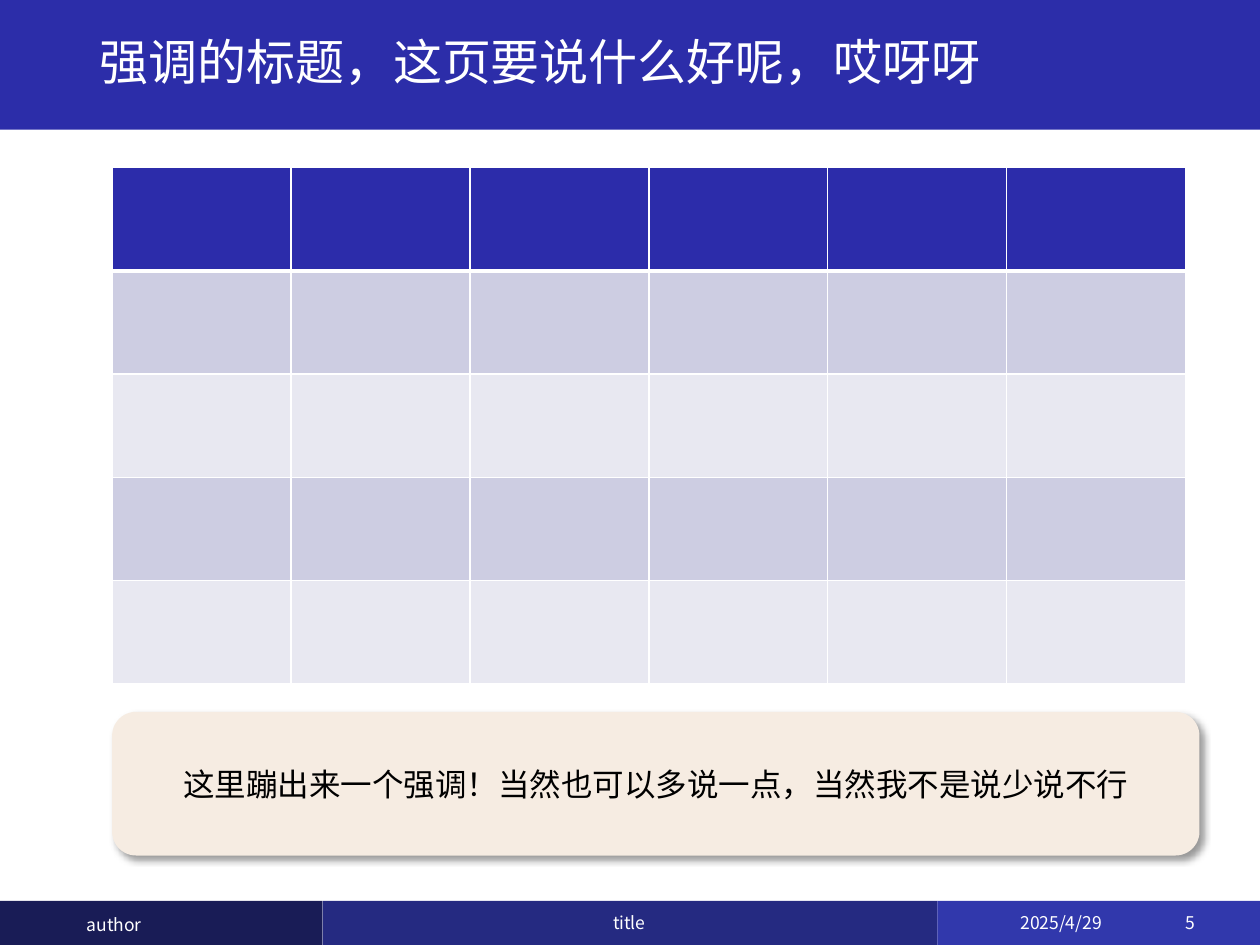
from pptx import Presentation
from pptx.dml.color import RGBColor as Rgb
from pptx.enum.shapes import MSO_SHAPE as Kind
from pptx.enum.text import MSO_ANCHOR as Anchor, PP_ALIGN as Align
from pptx.oxml import parse_xml
from pptx.oxml.ns import nsdecls, qn
from pptx.util import Inches, Pt

HUES = {
    "white": "FFFFFF", "black": "000000", "band": "2C2DA9",
    "dark": "191C56", "mid": "252A81", "light": "3138AC",
    "head": "2C2CAA", "odd": "CDCDE2", "even": "E8E8F1", "note": "F6ECE2",
}


def hue(name):
    return Rgb.from_string(HUES[name])


def node(xml):
    return parse_xml(xml.replace(">", f" {nsdecls('a')}>", 1))


class Deck:
    """Holds the style and the current slide."""
    body = "Noto Sans CJK SC"
    foot = "Noto Sans CJK JP"

    def __init__(self):
        self.file = Presentation()
        self.file.slide_width, self.file.slide_height = Inches(10), Inches(7.5)
        self.slide = self.file.slides.add_slide(self.file.slide_layouts[5])

    def text(self, shape, words, size, color, face, align=Align.LEFT):
        frame = shape.text_frame
        for key, val in {"word_wrap": True, "vertical_anchor": Anchor.MIDDLE}.items():
            setattr(frame, key, val)
        para = frame.paragraphs[0]
        para.alignment = align
        run = para.add_run()
        run.text = words
        for key, val in {"size": Pt(size), "name": face, "bold": False}.items():
            setattr(run.font, key, val)
        run.font.color.rgb = hue(color)
        latin = run.font._element.find(qn("a:latin"))
        latin.addnext(node(f'<a:ea typeface="{face}"></a:ea>'))
        return para

    def box(self, area, color, kind=Kind.RECTANGLE):
        shape = self.slide.shapes.add_shape(kind, *map(Inches, area))
        shape.shadow.inherit = False
        shape.fill.solid()
        shape.fill.fore_color.rgb = hue(color)
        shape.line.fill.background()
        return shape

    def label(self, area, words, align=Align.LEFT):
        shape = self.slide.shapes.add_textbox(*map(Inches, area))
        self.text(shape, words, 10, "white", self.foot, align)

    def title(self, area, words):
        shape = self.slide.shapes.title
        # Bring the title in front of its band
        shape._element.getparent().append(shape._element)
        for key, val in zip(("left", "top", "width", "height"), area):
            setattr(shape, key, Inches(val))
        para = self.text(shape, words, 28, "white", self.body)
        para.line_spacing = 0.9

    def note(self, area, words):
        shape = self.box(area, "note", Kind.ROUNDED_RECTANGLE)
        self.text(shape, words, 18, "black", self.body, Align.CENTER)
        shape._element.spPr.find(qn("a:effectLst")).append(node(
            f'<a:outerShdw blurRad="{Pt(4)}" dist="{Pt(3)}" dir="2700000" '
            f'algn="tl" rotWithShape="0"><a:srgbClr val="{HUES["black"]}">'
            '<a:alpha val="40000"/></a:srgbClr></a:outerShdw>'))

    def edge(self, cell, side, width):
        cell._tc.get_or_add_tcPr().append(node(
            f'<a:ln{side} w="{Pt(width)}"><a:solidFill>'
            f'<a:srgbClr val="{HUES["white"]}"/></a:solidFill></a:ln{side}>'))

    def table(self, area, rows, cols):
        grid = self.slide.shapes.add_table(rows, cols, *map(Inches, area)).table
        for row in range(rows):
            color = "head" if row == 0 else "odd" if row % 2 else "even"
            for col in range(cols):
                cell = grid.cell(row, col)
                # The rule under the header is thicker
                for side in "LRTB":
                    thick = (row, side) in ((0, "B"), (1, "T"))
                    self.edge(cell, side, 3 if thick else 1)
                cell.fill.solid()
                cell.fill.fore_color.rgb = hue(color)


def main():
    deck = Deck()

    # Footer
    left = 0
    for color, width in (("dark", 2.56), ("mid", 4.88), ("light", 2.56)):
        deck.box((left, 7.15, width, 0.35), color)
        left += width
    deck.label((0.59, 7.16, 1.97, 0.35), "author")
    deck.label((4.11, 7.15, 1.77, 0.35), "title", Align.CENTER)
    deck.label((8, 7.15, 1.11, 0.35), "2025/4/29")
    deck.label((9.31, 7.15, 0.6, 0.35), "5")

    # Title band
    deck.box((0, 0, 10, 1.03), "band")
    deck.title((0.69, 0.05, 8.62, 0.92), "强调的标题，这页要说什么好呢，哎呀呀")

    # Callout and table
    deck.note((0.89, 5.65, 8.63, 1.14),
              "这里蹦出来一个强调！当然也可以多说一点，当然我不是说少说不行")
    deck.table((0.89, 1.33, 8.52, 4.1), 5, 6)

    deck.file.save("out.pptx")


if __name__ == "__main__":
    main()
